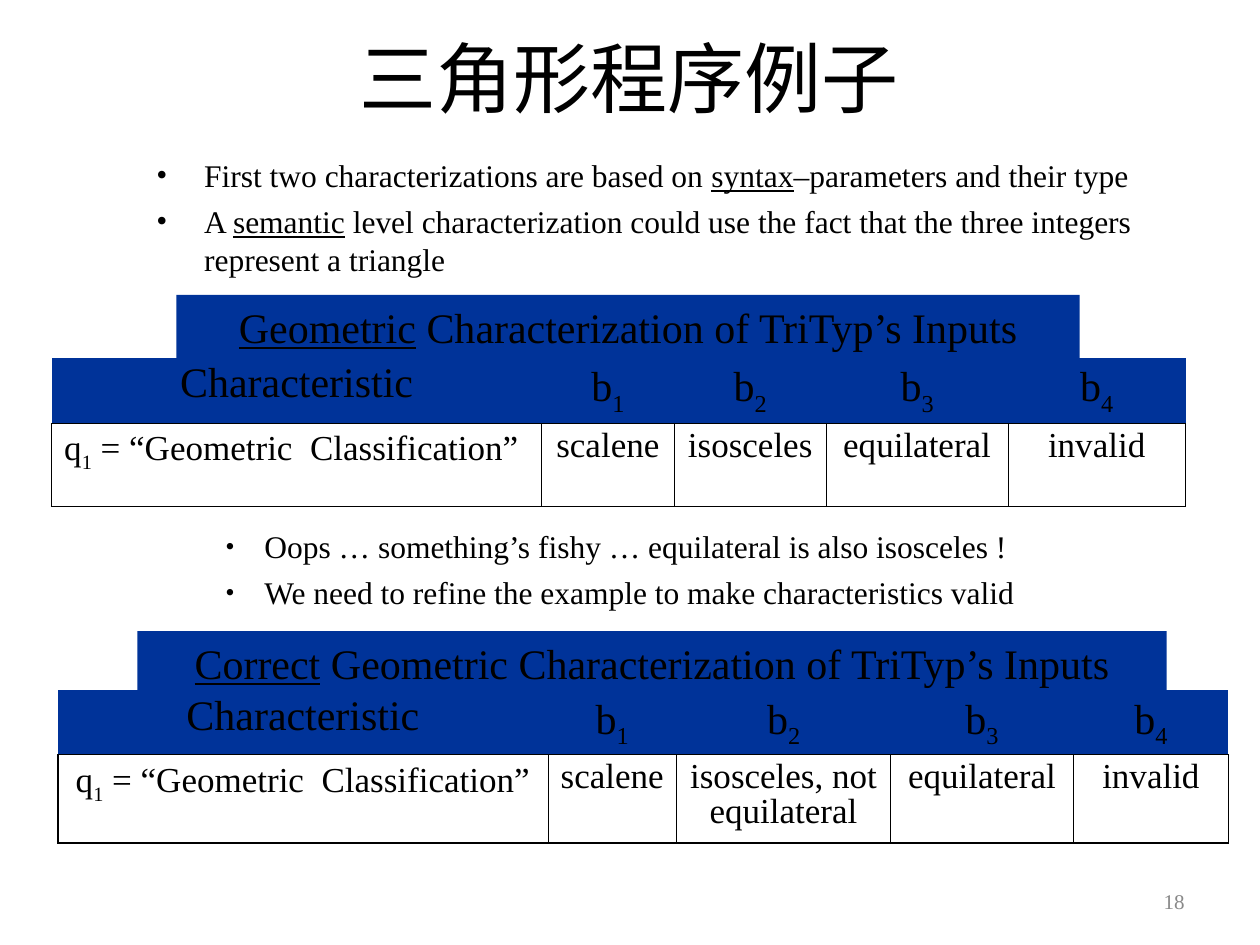
from typing import NamedTuple

from lxml import etree
from pptx import Presentation
from pptx.dml.color import RGBColor
from pptx.enum import shapes, text
from pptx.oxml import ns
from pptx.util import Inches, Pt

BLACK = RGBColor(0x00, 0x00, 0x00)
WHITE = RGBColor(0xFF, 0xFF, 0xFF)
BLUE = RGBColor(0x00, 0x33, 0x99)
GREY = RGBColor(0x89, 0x89, 0x89)
FONT = "Times New Roman"
NO_STYLE = "{2D5ABB26-0587-4C30-8999-92F81FD0307C}"
THIN, THICK = 0.45, 1.08
LEFT, CENTER, RIGHT = text.PP_ALIGN.LEFT, text.PP_ALIGN.CENTER, text.PP_ALIGN.RIGHT


class Span(NamedTuple):
    text: str
    underline: bool = False
    subscript: bool = False


class Bullets(NamedTuple):
    items: list
    indent: float
    space: float
    line_spacing: float
    bullet_percent: int


class Banner(NamedTuple):
    left: float
    top: float
    width: float
    spans: list


class Grid(NamedTuple):
    left: float
    top: float
    columns: list
    rows: list
    blocks: list
    label_align: text.PP_ALIGN


def add_element(parent, tag: str, **attributes):
    element = etree.SubElement(parent, ns.qn(tag))
    for name, value in attributes.items():
        element.set(name, str(value))
    return element


def write(para, spans: list, size: float, color=BLACK, **layout) -> None:
    """Fill a paragraph with spans; layout holds paragraph properties."""
    for name, value in layout.items():
        setattr(para, name, value)
    for span in spans:
        run = para.add_run()
        run.text = span.text
        for name, value in {"name": FONT, "size": Pt(size)}.items():
            setattr(run.font, name, value)
        run.font.color.rgb = color
        if span.underline:
            run.font.underline = True
        if span.subscript:
            run.font._element.set("baseline", "-25000")


def write_bullets(frame, bullets: Bullets) -> None:
    frame.word_wrap = True
    frame.auto_size = text.MSO_AUTO_SIZE.NONE
    for index, spans in enumerate(bullets.items):
        para = frame.add_paragraph() if index else frame.paragraphs[0]
        properties = para._p.get_or_add_pPr()
        properties.set("marL", str(Inches(bullets.indent)))
        properties.set("indent", str(-Inches(bullets.indent)))
        color = add_element(properties, "a:buClr")
        add_element(color, "a:srgbClr", val=BLACK)
        add_element(properties, "a:buSzPct", val=bullets.bullet_percent * 1000)
        add_element(properties, "a:buFont", typeface=FONT)
        add_element(properties, "a:buChar", char="•")
        write(para, spans, 18, line_spacing=bullets.line_spacing,
              space_before=Pt(bullets.space if index else 0))


def add_banner(page, banner: Banner) -> None:
    box = page.shapes.add_shape(
        shapes.MSO_SHAPE.RECTANGLE, Inches(banner.left), Inches(banner.top),
        Inches(banner.width), Inches(0.5))
    box.shadow.inherit = False
    box.fill.solid()
    box.fill.fore_color.rgb = BLUE
    box.line.fill.background()
    box.text_frame.word_wrap = True
    box.text_frame.vertical_anchor = text.MSO_ANCHOR.TOP
    write(box.text_frame.paragraphs[0], banner.spans, 24, alignment=CENTER)


def set_borders(cell, widths: dict) -> None:
    """Draw black cell edges; widths are in points, keyed L, R, T, B."""
    properties = cell._tc.get_or_add_tcPr()
    for side, width in widths.items():
        line = add_element(properties, f"a:ln{side}", w=Pt(width))
        fill = add_element(line, "a:solidFill")
        add_element(fill, "a:srgbClr", val=BLACK)


def add_grid(page, grid: Grid) -> None:
    header = [[Span("Characteristic")]]
    header += [[Span("b"), Span(str(n), subscript=True)]
               for n in range(1, len(grid.blocks) + 1)]
    values = [[Span("q"), Span("1", subscript=True),
               Span(" = “Geometric  Classification”")]]
    values += [[Span(block)] for block in grid.blocks]

    table = page.shapes.add_table(
        2, len(grid.columns), Inches(grid.left), Inches(grid.top),
        Inches(sum(grid.columns)), Inches(sum(grid.rows))).table
    table.first_row = table.horz_banding = False
    table._tbl.tblPr.find(ns.qn("a:tableStyleId")).text = NO_STYLE
    for column, width in zip(table.columns, grid.columns):
        column.width = Inches(width)
    for row, height in zip(table.rows, grid.rows):
        row.height = Inches(height)

    last = len(grid.columns) - 1
    for column, (heading, value) in enumerate(zip(header, values)):
        top, bottom = table.cell(0, column), table.cell(1, column)
        set_borders(top, {"B": THIN})
        set_borders(bottom, {"L": THIN if column else THICK,
                             "R": THICK if column == last else THIN,
                             "T": THIN, "B": THICK})
        align = CENTER if column else grid.label_align
        for cell, spans, size, fill, alignment in (
                (top, heading, 24, BLUE, CENTER),
                (bottom, value, 20, WHITE, align)):
            cell.fill.solid()
            cell.fill.fore_color.rgb = fill
            write(cell.text_frame.paragraphs[0], spans, size,
                  alignment=alignment, line_spacing=0.9)


def place(shape, left: float, top: float, width: float, height: float) -> None:
    box = {"left": left, "top": top, "width": width, "height": height}
    for name, value in box.items():
        setattr(shape, name, Inches(value))


SYNTAX_POINTS = Bullets([
    [Span("First two characterizations are based on "), Span("syntax", True),
     Span("–parameters and their type")],
    [Span("A "), Span("semantic", True),
     Span(" level characterization could use the fact that the three "
          "integers represent a triangle")],
], 0.38, 4.5, 1.0, 100)
REFINE_POINTS = Bullets([
    [Span("Oops … something’s fishy … equilateral is also isosceles !")],
    [Span("We need to refine the example to make characteristics valid")],
], 0.31, 6.8, 0.9, 85)
FIRST_BANNER = Banner(1.4, 2.34, 7.17, [
    Span("Geometric", True), Span(" Characterization of TriTyp’s Inputs")])
CORRECT_BANNER = Banner(1.09, 5.01, 8.17, [
    Span("Correct", True),
    Span(" Geometric Characterization of TriTyp’s Inputs")])
FIRST_GRID = Grid(0.41, 2.84, [3.89, 1.05, 1.21, 1.44, 1.41], [0.52, 0.66],
                  ["scalene", "isosceles", "equilateral", "invalid"], LEFT)
CORRECT_GRID = Grid(0.46, 5.48, [3.89, 1.02, 1.7, 1.45, 1.23], [0.51, 0.7],
                    ["scalene", "isosceles, not equilateral", "equilateral",
                     "invalid"], CENTER)


def main() -> None:
    deck = Presentation()
    deck.slide_width, deck.slide_height = Inches(10), Inches(7.5)
    page = deck.slides.add_slide(deck.slide_layouts[1])

    title, body = page.placeholders
    place(title, 0.15, 0.11, 9.69, 1)
    title.text_frame.vertical_anchor = text.MSO_ANCHOR.MIDDLE
    write(title.text_frame.paragraphs[0], [Span("三角形程序例子")], 44,
          alignment=CENTER)
    place(body, 1.14, 1.19, 8.7, 1.19)
    write_bullets(body.text_frame, SYNTAX_POINTS)

    add_banner(page, FIRST_BANNER)
    add_grid(page, FIRST_GRID)
    add_grid(page, CORRECT_GRID)
    remarks = page.shapes.add_textbox(
        Inches(1.69), Inches(4.17), Inches(8.15), Inches(0.85))
    write_bullets(remarks.text_frame, REFINE_POINTS)
    add_banner(page, CORRECT_BANNER)

    number = page.shapes.add_textbox(
        Inches(7.17), Inches(6.95), Inches(2.33), Inches(0.4))
    number.text_frame.word_wrap = True
    number.text_frame.vertical_anchor = text.MSO_ANCHOR.MIDDLE
    write(number.text_frame.paragraphs[0], [Span("18")], 12, GREY,
          alignment=RIGHT)
    deck.save("out.pptx")


if __name__ == "__main__":
    main()
